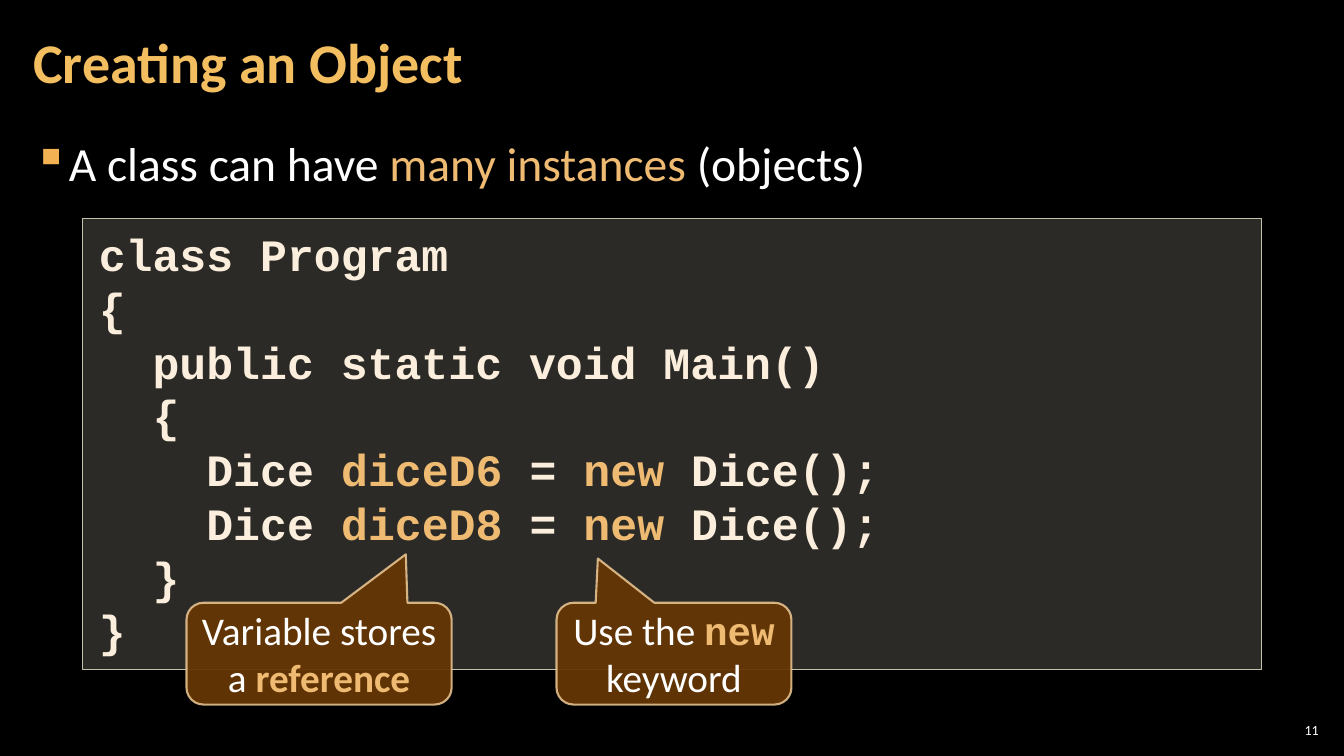
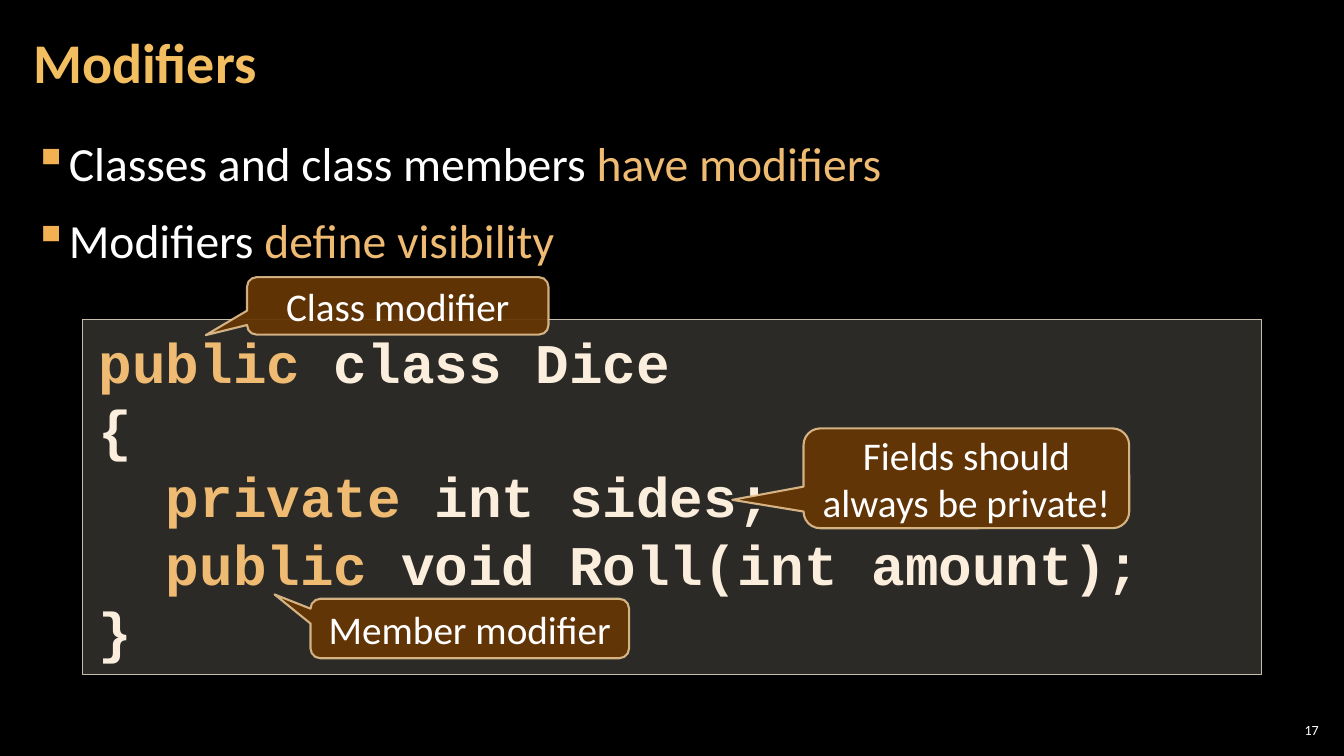
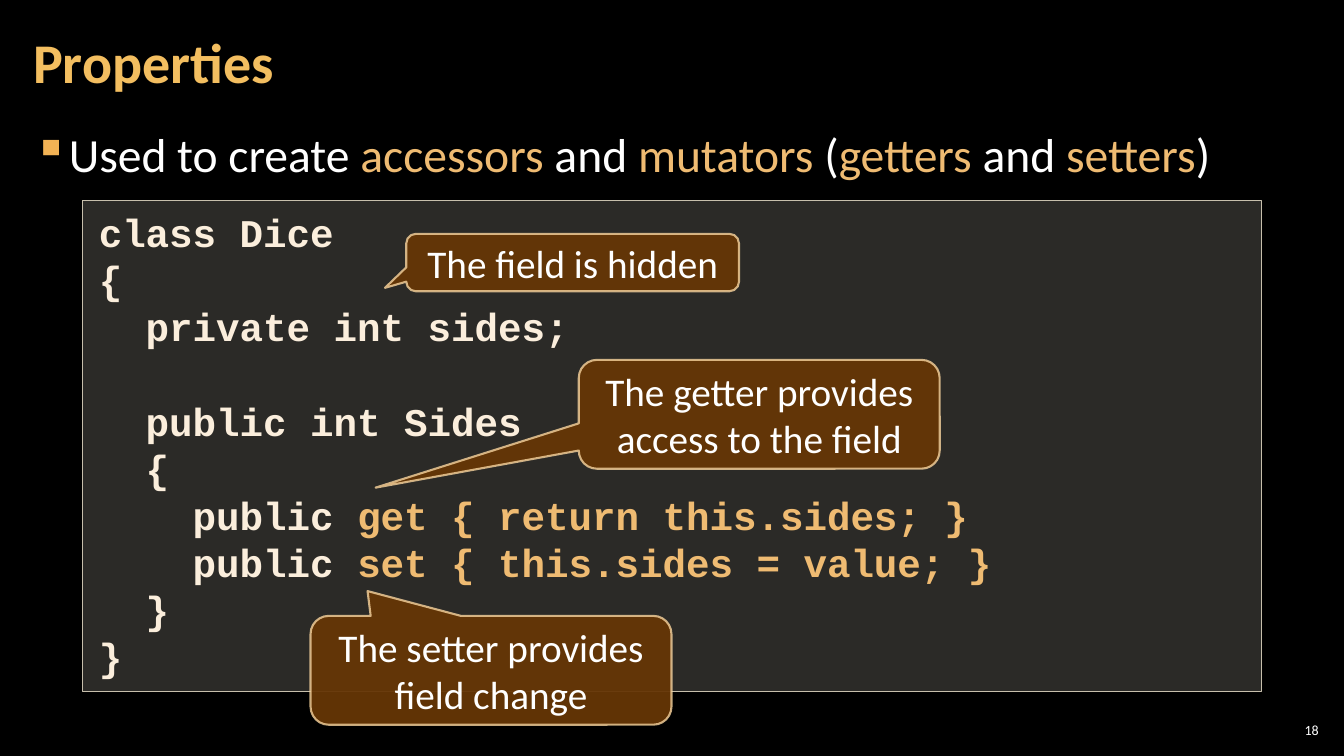
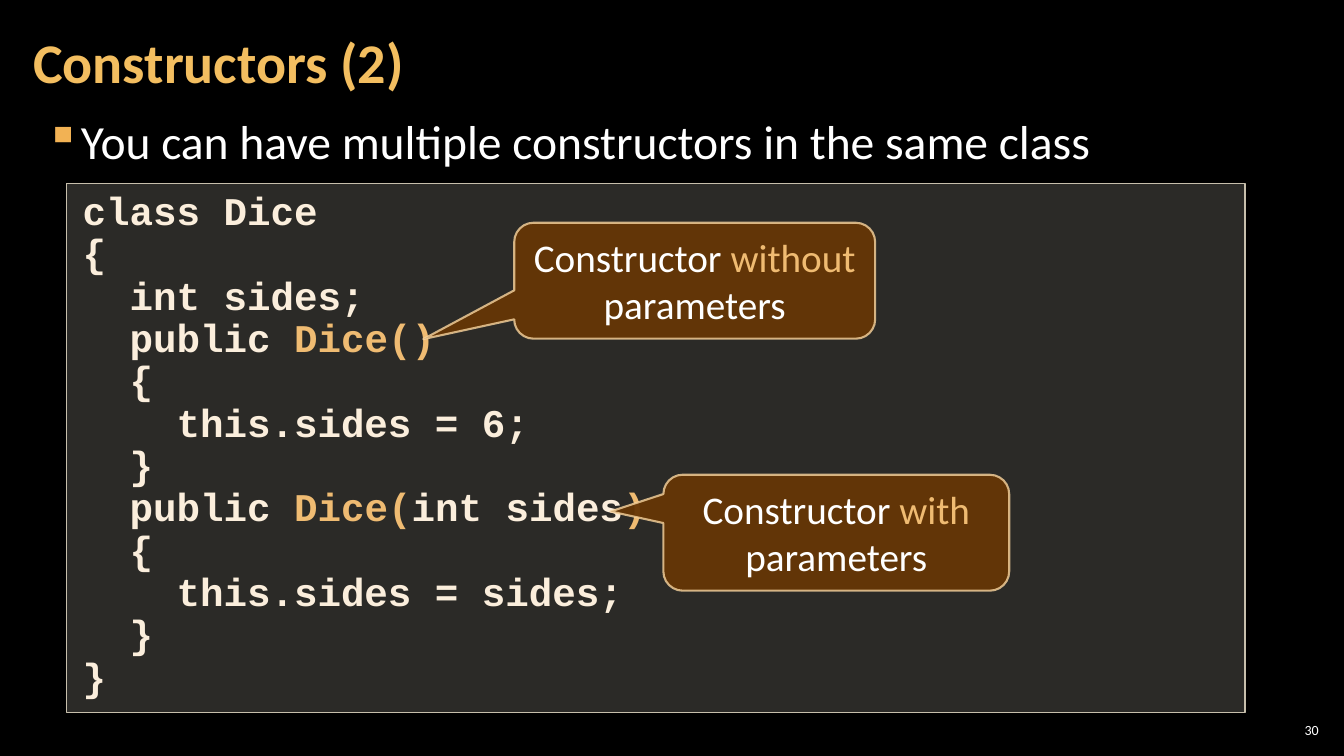
from dataclasses import dataclass

from lxml import etree
from pptx import Presentation
from pptx.dml.color import RGBColor
from pptx.enum import shapes, text
from pptx.oxml.ns import qn
from pptx.util import Inches, Pt

# Shared look
BLACK = RGBColor(0x00, 0x00, 0x00)
WHITE = RGBColor(0xFF, 0xFF, 0xFF)
GOLD = RGBColor(0xF3, 0xBE, 0x60)
ACCENT = RGBColor(0xEF, 0xBB, 0x72)
BULLET = RGBColor(0xF2, 0xB2, 0x54)
CREAM = RGBColor(0xFB, 0xEE, 0xDC)
PANEL = RGBColor(0xD9, 0xD5, 0xC7)
EDGE = RGBColor(0xC7, 0xBF, 0xAC)
BROWN = RGBColor(0x66, 0x36, 0x06)
RIM = RGBColor(0xF8, 0xD4, 0x9E)
SANS = "Calibri"
MONO = "Courier New"
INDENT = Inches(0.33)

Box = tuple[float, float, float, float]
TITLE = (0.21, 0.04, 10.47, 1.21)
NUMBER = (12.65, 7.14, 0.47, 0.21)


@dataclass(frozen=True)
class Style:
    size: int
    color: RGBColor = WHITE
    font: str = SANS
    bold: bool = False
    strong: bool = False  # accented runs are bold
    accent: str = ""  # font of accented runs, if different


@dataclass(frozen=True)
class Code:
    box: Box
    size: int
    lines: str
    pitch: float = 1.0


@dataclass(frozen=True)
class Note:
    box: Box
    tip: tuple[float, float]
    words: str
    style: Style = Style(28)


@dataclass(frozen=True)
class Page:
    number: int
    title: str
    body: tuple[float, float]
    points: list[str]
    code: Code
    notes: list[Note]


# Content: text between bars is accented
PAGES = [
    Page(11, "Creating an Object", (0.21, 1.26),
         ["A class can have |many instances| (objects)"],
         Code((0.82, 2.17, 11.69, 4.47), 32, """\
class Program
{
  public static void Main()
  {
    Dice |diceD6| = |new| Dice();
    Dice |diceD8| = |new| Dice();
  }
}"""),
         [Note((5.52, 5.98, 2.33, 1.01), (-0.324, -0.935),
               "Use the |new| keyword", Style(28, strong=True, accent=MONO)),
          Note((1.85, 5.98, 2.63, 1.01), (0.327, -0.976),
               "Variable stores a |reference|", Style(28, strong=True))]),
    Page(17, "Modifiers", (0.21, 1.26),
         ["Classes and class members |have modifiers|",
          "Modifiers| define visibility|"],
         Code((0.82, 3.17, 11.69, 3.52), 40, """\
|public| class Dice
{
  |private| int sides;
  |public| void Roll(int amount);
}"""),
         [Note((2.45, 2.75, 2.99, 0.57), (-0.637, 0.509), "Class modifier"),
          Note((3.08, 5.94, 3.16, 0.59), (-0.613, -0.573), "Member modifier"),
          Note((7.97, 4.25, 3.23, 0.99), (-0.719, 0.216),
               "Fields should always be private!")]),
    Page(18, "Properties", (0.21, 1.17),
         ["Used to create |accessors| and |mutators| (|getters| and |setters|)"],
         Code((0.82, 1.99, 11.69, 4.87), 28, """\
class Dice
{
  private int sides;

  public int Sides
  {
    public |get { return this.sides; }|
    public |set { this.sides = value; }|
  }
}"""),
         [Note((4.03, 2.32, 3.3, 0.57), (-0.564, 0.44), "The field is hidden"),
          Note((5.74, 3.57, 3.58, 1.08), (-1.063, 0.674),
               "The getter provides access to the field"),
          Note((3.08, 6.11, 3.58, 1.08), (-0.342, -0.728),
               "The setter provides field change")]),
    Page(30, "Constructors (2)", (0.33, 1.04),
         ["You can have multiple constructors in the same class"],
         Code((0.66, 1.82, 11.69, 5.25), 28, """\
class Dice
{
  int sides;
  public |Dice()|
  {
    this.sides = 6;
  }
  public |Dice(|int sides|)|
  {
    this.sides = sides;
  }
}""", 0.9),
         [Note((6.58, 4.71, 3.43, 1.15), (-0.653, -0.183),
               "Constructor |with| parameters"),
          Note((5.1, 2.21, 3.58, 1.15), (-0.752, 0.504),
               "Constructor |without| parameters")]),
]


# Text helpers
def write(para, words: str, style: Style) -> None:
    """Add one run for each stretch of text between bars."""
    para.font.size = Pt(style.size)
    for i, part in enumerate(words.split("|")):
        if not part:
            continue
        lit = i % 2 == 1
        run = para.add_run()
        run.text = part
        font = run.font
        font.size = Pt(style.size)
        font.name = style.accent if lit and style.accent else style.font
        font.bold = style.bold or (lit and style.strong)
        font.color.rgb = ACCENT if lit else style.color


def fill(shape, lines: list[str], style: Style, pads: tuple[float, float],
         anchor=text.MSO_ANCHOR.MIDDLE, align=text.PP_ALIGN.LEFT,
         pitch: float = 1.0, gap: int = 0, dots: bool = False) -> None:
    """Write lines into a shape, one paragraph each."""
    frame = shape.text_frame
    frame.word_wrap = True
    frame.vertical_anchor = anchor
    frame.margin_left = frame.margin_right = Inches(pads[0])
    frame.margin_top = frame.margin_bottom = Inches(pads[1])
    for i, line in enumerate(lines):
        para = frame.add_paragraph() if i else frame.paragraphs[0]
        if dots:
            mark(para)
        para.alignment = align
        para.line_spacing = pitch
        para.space_before = Pt(gap if i else 0)
        para.space_after = Pt(gap)
        write(para, line, style)


def mark(para) -> None:
    """Give a paragraph a square bullet and a hanging indent."""
    props = para._p.get_or_add_pPr()
    props.set("marL", str(INDENT))
    props.set("indent", str(-INDENT))
    tint = etree.SubElement(props, qn("a:buClr"))
    etree.SubElement(tint, qn("a:srgbClr")).set("val", str(BULLET))
    etree.SubElement(props, qn("a:buChar")).set("char", "▪")


# Shape helpers
def place(box: Box) -> list[int]:
    return [Inches(v) for v in box]


def label(slide, box: Box, lines: list[str], style: Style,
          pads: tuple[float, float] = (0.12, 0.04), **look) -> None:
    fill(slide.shapes.add_textbox(*place(box)), lines, style, pads, **look)


def block(slide, kind, box: Box, paint: RGBColor, rim: RGBColor, width: float,
          alphas: tuple[int, int]):
    """Add a shape whose fill and line have the given opacities."""
    shape = slide.shapes.add_shape(kind, *place(box))
    shape.shadow.inherit = False
    shape.fill.solid()
    shape.fill.fore_color.rgb = paint
    shape.line.color.rgb = rim
    shape.line.width = Pt(width)
    for tint, alpha in zip(shape.element.spPr.iter(qn("a:srgbClr")), alphas):
        if alpha < 100:
            etree.SubElement(tint, qn("a:alpha")).set("val", str(alpha * 1000))
    return shape


def panel(slide, code: Code) -> None:
    shape = block(slide, shapes.MSO_SHAPE.RECTANGLE, code.box,
                  PANEL, EDGE, 1, (20, 100))
    fill(shape, code.lines.split("\n"), Style(code.size, CREAM, MONO, True),
         (0.16, 0.08), anchor=text.MSO_ANCHOR.TOP, pitch=code.pitch)


def callout(slide, note: Note) -> None:
    shape = block(slide, shapes.MSO_SHAPE.ROUNDED_RECTANGULAR_CALLOUT,
                  note.box, BROWN, RIM, 1.5, (95, 80))
    shape.adjustments[0], shape.adjustments[1] = note.tip
    fill(shape, [note.words], note.style, (0.1, 0.05),
         align=text.PP_ALIGN.CENTER)


def draw(slide, page: Page) -> None:
    label(slide, NUMBER, [str(page.number)], Style(10), (0.04, 0.04),
          align=text.PP_ALIGN.RIGHT)
    label(slide, (*page.body, 12.91, 6.09), page.points, Style(34),
          anchor=text.MSO_ANCHOR.TOP, pitch=1.05, gap=6, dots=True)
    label(slide, TITLE, [page.title], Style(40, GOLD, bold=True), pitch=0.9)
    panel(slide, page.code)
    for note in page.notes:
        callout(slide, note)


def main() -> None:
    deck = Presentation()
    deck.slide_width, deck.slide_height = Inches(13.33), Inches(7.5)
    back = deck.slide_master.background.fill
    back.solid()
    back.fore_color.rgb = BLACK
    for page in PAGES:
        draw(deck.slides.add_slide(deck.slide_layouts[6]), page)
    deck.save("out.pptx")


if __name__ == "__main__":
    main()
